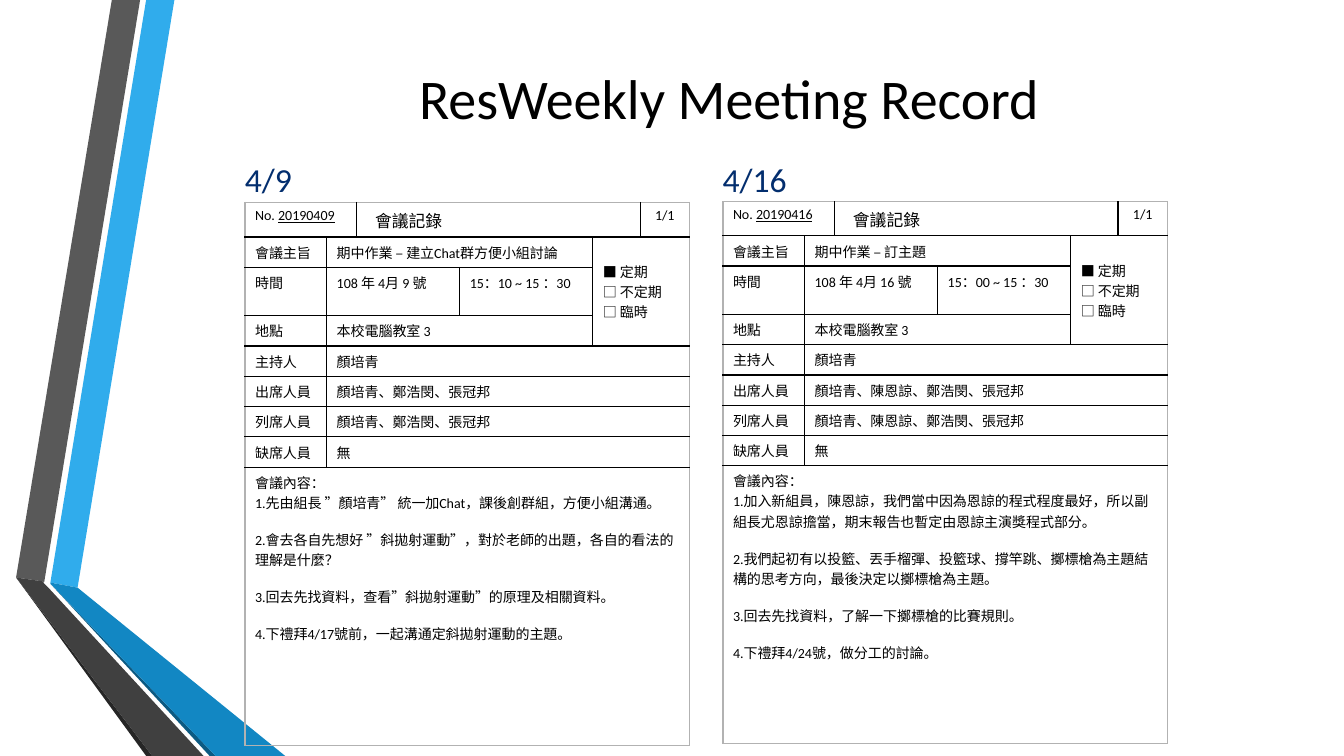
from lxml import etree
from pptx import Presentation, util as u
from pptx.dml.color import RGBColor
from pptx.enum import text
from pptx.oxml.ns import qn

INK, NAVY, EDGE = "000000", "032E6E", "B2B2B2"
COLUMNS = [0.81, 0.3, 1.02, 1.32, 0.47, 0.49]
ROWS = [0.34, 0.3, 0.48, 0.3, 0.3, 0.3, 0.3, 0.3, 2.76]

# Ribbon faces in hundredths of an inch
RIBBON = [
    ("30ACEC", [(50, 578), (77, 583), (173, 0), (145, 0)]),
    ("595959", [(139, 0), (111, 0), (16, 573), (44, 577)]),
    ("262626", [(16, 573), (145, 750), (151, 750)]),
    ("0C5A82", [(50, 579), (208, 750), (214, 750)]),
    ("1287C3", [(50, 579), (214, 750), (283, 750), (77, 583), (50, 578)]),
    ("404040", [(202, 750), (48, 583), (43, 578), (44, 577), (16, 573), (151, 750)]),
]

MEETINGS = [
    dict(left=2.43, top=2.01, date="4/9", number="20190409",
         subject="期中作業 – 建立Chat群方便小組討論",
         day="108 年 4月 9 號", time="15：10 ~ 15 ：30",
         members="顏培青、鄭浩閔、張冠邦",
         notes=["1.先由組長 ”顏培青” 統一加Chat，課後創群組，方便小組溝通。",
                "2.會去各自先想好 ”斜拋射運動”，對於老師的出題，各自的看法的理解是什麼？",
                "3.回去先找資料，查看”斜拋射運動”的原理及相關資料。",
                "4.下禮拜4/17號前，一起溝通定斜拋射運動的主題。"]),
    dict(left=7.17, top=2.0, date="4/16", number="20190416",
         subject="期中作業 – 訂主題",
         day="108 年 4月 16 號", time="15：00 ~ 15 ：30",
         members="顏培青、陳恩諒、鄭浩閔、張冠邦",
         notes=["1.加入新組員，陳恩諒，我們當中因為恩諒的程式程度最好，所以副組長尤恩諒擔當，期末報告也暫定由恩諒主演獎程式部分。",
                "2.我們起初有以投籃、丟手榴彈、投籃球、撐竿跳、擲標槍為主題結構的思考方向，最後決定以擲標槍為主題。",
                "3.回去先找資料，了解一下擲標槍的比賽規則。",
                "4.下禮拜4/24號，做分工的討論。"]),
]


def color(value):
    return RGBColor.from_string(value)


class Slide:
    font = "Calibri"

    def __init__(self, deck):
        self.page = deck.slides.add_slide(deck.slide_layouts[5])

    def add_lines(self, frame, lines, size, ink=INK, align=None, gap=0):
        """Each line is a string or a list of (words, run format) pairs."""
        for index, line in enumerate(lines):
            para = frame.paragraphs[0] if index == 0 else frame.add_paragraph()
            para.alignment = align
            if gap and index > 1:
                para.space_before = u.Pt(gap)
            for words, extra in [(line, {})] if isinstance(line, str) else line:
                span = para.add_run()
                span.text = words
                span.font.color.rgb = color(ink)
                for key, value in {"name": self.font, "size": u.Pt(size), **extra}.items():
                    setattr(span.font, key, value)

    def title(self, words, left, top, width, height):
        box = self.page.shapes.title
        for key, value in dict(left=left, top=top, width=width, height=height).items():
            setattr(box, key, u.Inches(value))
        box.text_frame.vertical_anchor = text.MSO_ANCHOR.MIDDLE
        self.add_lines(box.text_frame, [words], 40, align=text.PP_ALIGN.CENTER)

    def label(self, words, left, top, width, height):
        box = self.page.shapes.add_textbox(*map(u.Inches, (left, top, width, height)))
        box.text_frame.word_wrap = False
        self.add_lines(box.text_frame, [words], 24, NAVY)

    def polygon(self, fill, points):
        builder = self.page.shapes.build_freeform(*points[0], scale=u.Inches(0.01))
        builder.add_line_segments(points[1:], close=True)
        shape = builder.convert_to_shape()
        shape.shadow.inherit = False
        shape.fill.solid()
        shape.fill.fore_color.rgb = color(fill)
        shape.line.fill.background()

    def border(self, cell, side, ink):
        line = etree.SubElement(cell._tc.get_or_add_tcPr(), qn("a:ln" + side), w="12700")
        solid = etree.SubElement(line, qn("a:solidFill"))
        etree.SubElement(solid, qn("a:srgbClr"), val=ink)

    def table(self, left, top, areas):
        """Each area is (row, column, rows, columns, lines, format)."""
        frame = self.page.shapes.add_table(
            len(ROWS), len(COLUMNS),
            *map(u.Inches, (left, top, sum(COLUMNS), sum(ROWS))))
        table = frame.table
        table.first_row = table.horz_banding = False
        for column, width in zip(table.columns, COLUMNS):
            column.width = u.Inches(width)
        for row, height in zip(table.rows, ROWS):
            row.height = u.Inches(height)
        for row, column, tall, wide, lines, style in areas:
            self.area(table, row, column, tall, wide)
            cell = table.cell(row, column)
            for key, value in style.get("cell", {}).items():
                setattr(cell, key, value)
            self.add_lines(cell.text_frame, lines, style.get("size", 10),
                           align=style.get("align"), gap=style.get("gap", 0))

    def area(self, table, row, column, tall, wide):
        last_row, last_column = row + tall - 1, column + wide - 1
        if tall * wide > 1:
            table.cell(row, column).merge(table.cell(last_row, last_column))
        outer = dict(L=column == 0, R=last_column == len(COLUMNS) - 1,
                     T=row == 0, B=last_row == len(ROWS) - 1)
        for r in range(row, last_row + 1):
            for c in range(column, last_column + 1):
                cell = table.cell(r, c)
                shown = dict(L=c == column, R=c == last_column,
                             T=r == row, B=r == last_row)
                for side in "LRTB":
                    if shown[side] or cell.is_merge_origin:
                        self.border(cell, side, EDGE if outer[side] else INK)
                cell.fill.background()


def record_areas(meeting):
    number = [("No. ", {}), (meeting["number"], {"underline": True})]
    people = [("主持人", "顏培青"), ("出席人員", meeting["members"]),
              ("列席人員", meeting["members"]), ("缺席人員", "無")]
    areas = [
        (0, 0, 1, 2, [number], {}),
        (0, 2, 1, 3, ["會議記錄"], {"size": 12, "cell": {"margin_left": u.Inches(0.18)}}),
        (0, 5, 1, 1, ["1/1"], {"align": text.PP_ALIGN.CENTER}),
        (1, 0, 1, 1, ["會議主旨"], {}),
        (1, 1, 1, 3, [meeting["subject"]], {}),
        (1, 4, 3, 2, ["■ 定期", "□ 不定期", "□ 臨時"],
         {"cell": {"vertical_anchor": text.MSO_ANCHOR.MIDDLE}}),
        (2, 0, 1, 1, ["時間"], {}),
        (2, 1, 1, 2, [meeting["day"]], {}),
        (2, 3, 1, 1, [meeting["time"]], {}),
        (3, 0, 1, 1, ["地點"], {}),
        (3, 1, 1, 3, ["本校電腦教室 3"], {}),
    ]
    for row, (role, names) in enumerate(people, start=4):
        areas += [(row, 0, 1, 1, [role], {}), (row, 1, 1, 5, [names], {})]
    # The first note follows its heading closely; later notes stand apart
    areas.append((8, 0, 1, 6, ["會議內容：", *meeting["notes"]], {"gap": 12}))
    return areas


def main():
    deck = Presentation()
    deck.slide_width, deck.slide_height = u.Inches(13.33), u.Inches(7.5)
    slide = Slide(deck)

    # Ribbon on the left
    for fill, points in RIBBON:
        slide.polygon(fill, points)

    # Title
    slide.title("ResWeekly Meeting Record", 1.75, 0, 10.96, 1.92)

    # Meeting records
    for meeting in MEETINGS:
        slide.table(meeting["left"], meeting["top"], record_areas(meeting))
        slide.label(meeting["date"], meeting["left"] - 0.1, 1.53, 0.9, 0.5)

    deck.save("out.pptx")


if __name__ == "__main__":
    main()
